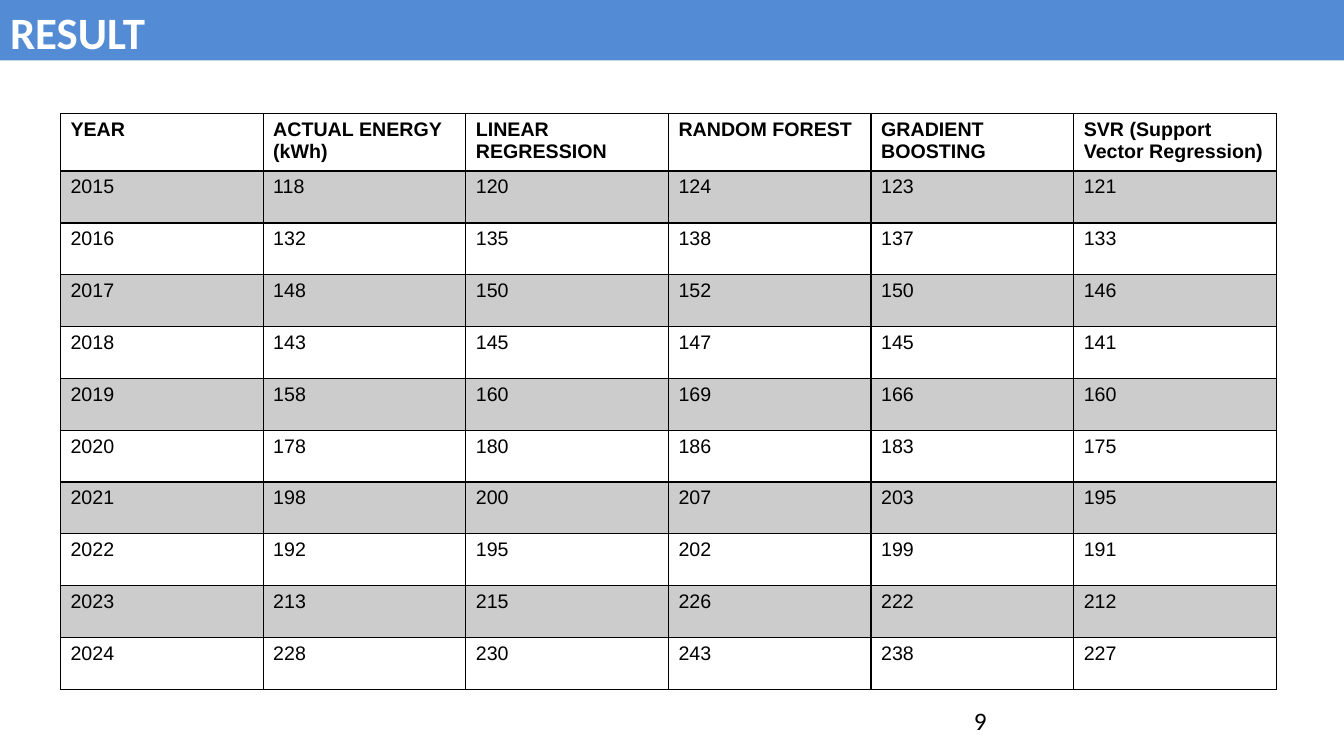
from lxml.etree import SubElement
from pptx import Presentation
from pptx.dml.color import RGBColor
from pptx.enum.shapes import MSO_SHAPE as Shape
from pptx.enum.text import MSO_ANCHOR as Anchor, PP_ALIGN as Align
from pptx.oxml import parse_xml
from pptx.oxml.ns import nsdecls, qn
from pptx.util import Inches, Pt

BLUE = RGBColor(0x53, 0x8C, 0xD5)
WHITE = RGBColor(0xFF, 0xFF, 0xFF)
BLACK = RGBColor(0, 0, 0)

HEADINGS = ["YEAR", "ACTUAL ENERGY (kWh)", "LINEAR REGRESSION", "RANDOM FOREST",
            "GRADIENT BOOSTING", "SVR (Support Vector Regression)"]
RESULTS = [
    (2015, 118, 120, 124, 123, 121),
    (2016, 132, 135, 138, 137, 133),
    (2017, 148, 150, 152, 150, 146),
    (2018, 143, 145, 147, 145, 141),
    (2019, 158, 160, 169, 166, 160),
    (2020, 178, 180, 186, 183, 175),
    (2021, 198, 200, 207, 203, 195),
    (2022, 192, 195, 202, 199, 191),
    (2023, 213, 215, 226, 222, 212),
    (2024, 228, 230, 243, 238, 227),
]


def write(frame, text, size=14, font="Arial", color=BLACK, bold=False, align=Align.LEFT):
    frame.word_wrap = True
    paragraph = frame.paragraphs[0]
    paragraph.alignment = align
    run = paragraph.add_run()
    run.text = text
    run.font.size = Pt(size)
    run.font.name = font
    run.font.bold = bold
    run.font.color.rgb = color


def add_title(slide, text):
    title = slide.shapes.title
    title.left, title.top = Inches(-1.11), Inches(0)
    title.width, title.height = Inches(3.86), Inches(0.97)
    title.text_frame.vertical_anchor = Anchor.TOP
    write(title.text_frame, text, size=32, font="Calibri", color=WHITE,
          bold=True, align=Align.CENTER)

    # Header band, placed behind the title
    band = slide.shapes.add_shape(Shape.RECTANGLE, Inches(0), Inches(-0.03),
                                  Inches(13.33), Inches(0.63))
    band.shadow.inherit = False
    band.fill.solid()
    band.fill.fore_color.rgb = BLUE
    band.line.fill.background()
    title.element.addprevious(band.element)


def add_page_number(slide, number):
    box = slide.shapes.add_textbox(Inches(9.56), Inches(6.95), Inches(3.11), Inches(0.4))
    write(box.text_frame, str(number), size=18, font="Calibri")


def shade(cell):
    cell.fill.solid()
    cell.fill.fore_color.rgb = BLACK
    color = cell.fill.fore_color
    srgb = cell._tc.tcPr.find(".//" + qn("a:srgbClr"))
    SubElement(srgb, qn("a:alpha"), val="20000")


def add_borders(cell, bottom=1):
    widths = {"lnL": 1, "lnR": 1, "lnT": 1, "lnB": bottom}
    for position, (side, width) in enumerate(widths.items()):
        border = parse_xml(
            f'<a:{side} {nsdecls("a")} w="{Pt(width)}"><a:solidFill>'
            f'<a:srgbClr val="{BLACK}"/></a:solidFill></a:{side}>')
        cell._tc.tcPr.insert(position, border)


def add_results_table(slide):
    rows = [HEADINGS, *RESULTS]
    table = slide.shapes.add_table(len(rows), len(HEADINGS), Inches(0.6), Inches(1.13),
                                   Inches(12.06), Inches(5.66)).table
    table.first_row = table.horz_banding = False
    for row_index, row in enumerate(rows):
        is_header = row_index == 0
        for column_index, value in enumerate(row):
            cell = table.cell(row_index, column_index)
            write(cell.text_frame, str(value), bold=is_header)
            if row_index % 2:
                shade(cell)
            else:
                cell.fill.background()
            add_borders(cell, bottom=2 if is_header else 1)


def main():
    deck = Presentation()
    deck.slide_width, deck.slide_height = Inches(13.33), Inches(7.5)
    slide = deck.slides.add_slide(deck.slide_layouts[5])
    add_title(slide, "RESULT ")
    add_page_number(slide, 9)
    add_results_table(slide)
    deck.save("out.pptx")


if __name__ == "__main__":
    main()
